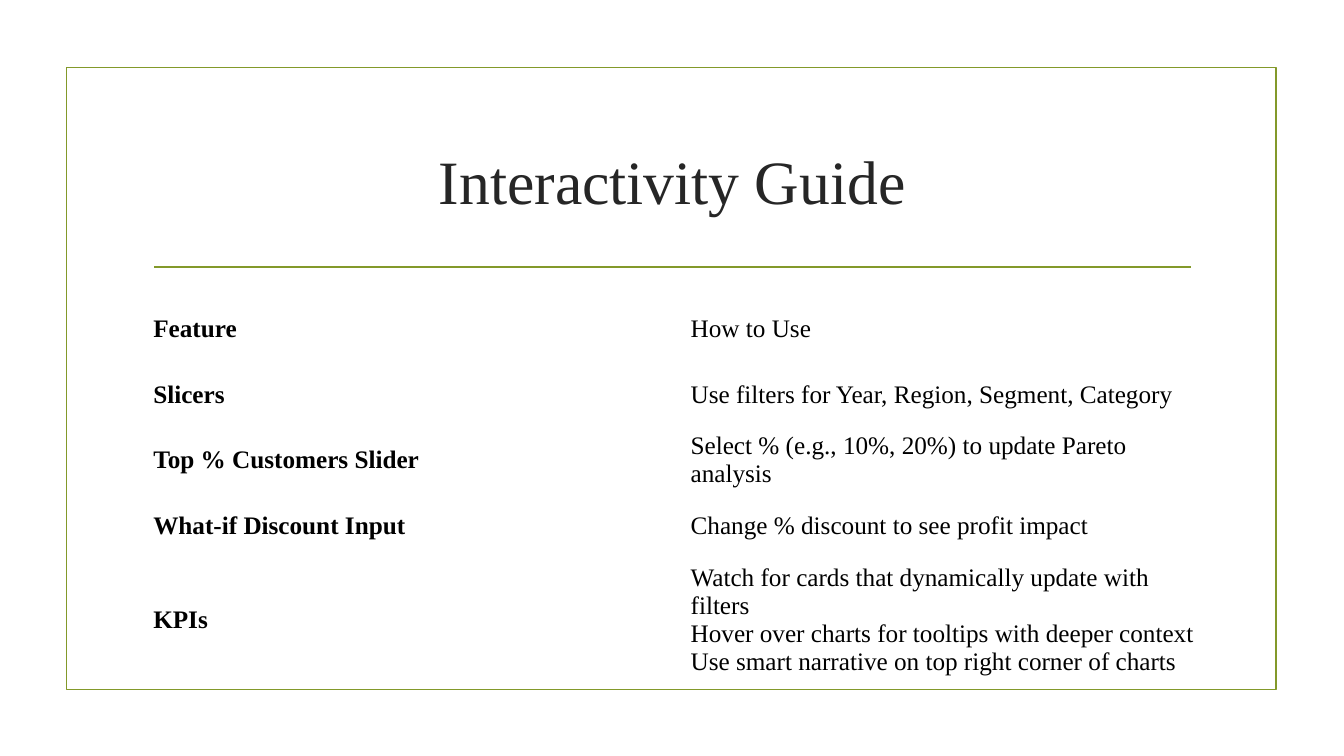
from pptx import Presentation
from pptx.dml.color import RGBColor
from pptx.enum.shapes import MSO_CONNECTOR, MSO_SHAPE
from pptx.enum.text import MSO_ANCHOR, MSO_AUTO_SIZE, PP_ALIGN
from pptx.oxml.ns import qn
from pptx.util import Inches, Pt
from lxml.etree import SubElement

FEATURES = [
    ("Feature", "How to Use"),
    ("Slicers", "Use filters for Year, Region, Segment, Category"),
    ("Top % Customers Slider", "Select % (e.g., 10%, 20%) to update Pareto analysis"),
    ("What-if Discount Input", "Change % discount to see profit impact"),
    ("KPIs", "Watch for cards that dynamically update with filters\n"
             "Hover over charts for tooltips with deeper context\n"
             "Use smart narrative on top right corner of charts"),
]


def color(code):
    return RGBColor.from_string(code)


class GuidePage:
    font = "Times New Roman"
    accent = "83992A"
    line_width = 1.25

    def __init__(self, page):
        self.page = page

    def style_text(self, frame, size, code, bold=False, align=PP_ALIGN.LEFT):
        for para in frame.paragraphs:
            para.alignment = align
            for span in para.runs:
                span.font.name = self.font
                span.font.size = Pt(size)
                span.font.bold = bold
                span.font.color.rgb = color(code)

    def style_line(self, line):
        line.color.rgb = color(self.accent)
        line.width = Pt(self.line_width)

    def frame(self, left, top, width, height):
        border = self.page.shapes.add_shape(
            MSO_SHAPE.RECTANGLE, Inches(left), Inches(top), Inches(width), Inches(height))
        border.shadow.inherit = False
        border.fill.background()
        self.style_line(border.line)

    def rule(self, left, right, y):
        line = self.page.shapes.add_connector(
            MSO_CONNECTOR.STRAIGHT, Inches(left), Inches(y), Inches(right), Inches(y))
        self.style_line(line.line)
        SubElement(line._element.spPr, qn("a:effectLst"))

    def title(self, text, left, top, width, height):
        box = self.page.shapes.title
        box.left, box.top = Inches(left), Inches(top)
        box.width, box.height = Inches(width), Inches(height)
        frame = box.text_frame
        frame.text = text
        frame.word_wrap = True
        frame.auto_size = MSO_AUTO_SIZE.NONE
        frame.vertical_anchor = MSO_ANCHOR.MIDDLE
        self.style_text(frame, 44, "262626", align=PP_ALIGN.CENTER)

    def table(self, rows, left, top, column_width, row_heights):
        table = self.page.shapes.add_table(
            len(rows), len(rows[0]), Inches(left), Inches(top),
            Inches(column_width * len(rows[0])), Inches(sum(row_heights))).table
        table.first_row = table.horz_banding = False
        for column in table.columns:
            column.width = Inches(column_width)
        for r, (texts, height) in enumerate(zip(rows, row_heights)):
            table.rows[r].height = Inches(height)
            for c, text in enumerate(texts):
                cell = table.cell(r, c)
                cell.fill.background()
                cell.vertical_anchor = MSO_ANCHOR.MIDDLE
                cell.text_frame.text = text
                self.style_text(cell.text_frame, 18, "000000", bold=c == 0)


def main():
    deck = Presentation()
    deck.slide_width, deck.slide_height = Inches(13.33), Inches(7.5)
    guide = GuidePage(deck.slides.add_slide(deck.slide_layouts[5]))

    # Border and heading
    guide.frame(0.66, 0.67, 12, 6.17)
    guide.rule(1.53, 11.81, 2.65)
    guide.title("Interactivity Guide", 1.42, 1.07, 10.5, 1.43)

    # Feature table
    guide.table(FEATURES, 1.42, 2.94, 5.33, [0.65] * 4 + [0.74])

    deck.save("out.pptx")


if __name__ == "__main__":
    main()
